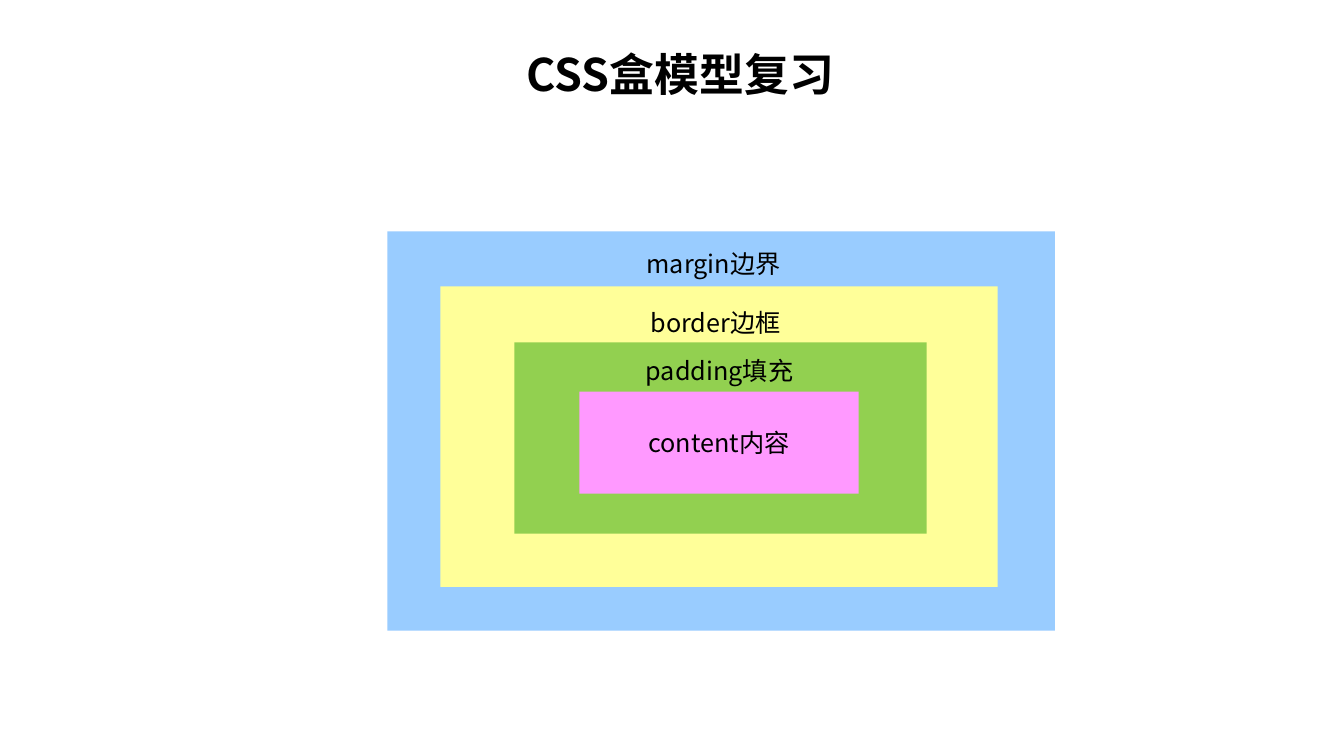
from dataclasses import dataclass

from lxml.etree import SubElement
from pptx import Presentation
from pptx.dml.color import RGBColor
from pptx.enum.shapes import MSO_SHAPE as Shape
from pptx.enum.text import MSO_ANCHOR as Anchor, MSO_AUTO_SIZE as Fit, PP_ALIGN as Align
from pptx.oxml.ns import qn
from pptx.slide import Slide
from pptx.text.text import TextFrame
from pptx.util import Pt

SCALE = 9080
FONT = "Noto Sans CJK SC"
BLACK = RGBColor(0x00, 0x00, 0x00)
BLUE = RGBColor(0x99, 0xCC, 0xFF)
YELLOW = RGBColor(0xFF, 0xFF, 0x99)
GREEN = RGBColor(0x92, 0xD0, 0x50)
PINK = RGBColor(0xFF, 0x99, 0xFF)


@dataclass(frozen=True)
class Area:
    left: int
    top: int
    width: int
    height: int

    def emu(self) -> tuple[int, ...]:
        return tuple(n * SCALE for n in (self.left, self.top, self.width, self.height))


@dataclass(frozen=True)
class Box:
    area: Area
    fill: RGBColor
    words: tuple[str, ...] = ()


@dataclass(frozen=True)
class Label:
    left: int
    top: int
    words: tuple[str, ...]


TITLE = Area(101, 1, 1158, 146)
BOXES = (
    Box(Area(387, 231, 667, 399), BLUE),
    Box(Area(440, 286, 557, 300), YELLOW),
    Box(Area(514, 342, 412, 191), GREEN),
    Box(Area(579, 391, 279, 102), PINK, ("content", "内容")),
)
LABELS = (
    Label(561, 350, ("padding", "填充")),
    Label(557, 302, ("border", "边框")),
    Label(555, 243, ("margin", "边界")),
)


def write(frame: TextFrame, words: tuple[str, ...], size: int = 18,
          bold: bool = False, anchor: Anchor = Anchor.MIDDLE) -> None:
    frame.word_wrap = True
    frame.vertical_anchor = anchor
    para = frame.paragraphs[0]
    para.alignment = Align.CENTER
    for word in words:
        run = para.add_run()
        run.text = word
        font = run.font
        font.size, font.bold, font.name = Pt(size), bold, FONT
        font.color.rgb = BLACK
        SubElement(run._r.get_or_add_rPr(), qn("a:ea"), typeface=FONT)


def draw_box(slide: Slide, box: Box) -> None:
    shape = slide.shapes.add_shape(Shape.RECTANGLE, *box.area.emu())
    shape.shadow.inherit = False
    shape.fill.solid()
    shape.fill.fore_color.rgb = box.fill
    shape.line.fill.background()
    if box.words:
        frame = shape.text_frame
        frame.margin_left = frame.margin_right = 7 * SCALE
        frame.margin_top = frame.margin_bottom = 4 * SCALE
        write(frame, box.words)


def draw_label(slide: Slide, label: Label) -> None:
    area = Area(label.left, label.top, 316, 40)
    frame = slide.shapes.add_textbox(*area.emu()).text_frame
    write(frame, label.words, anchor=Anchor.TOP)
    frame.auto_size = Fit.SHAPE_TO_FIT_TEXT


def main() -> None:
    """Build the CSS box model slide."""
    deck = Presentation()
    deck.slide_width, deck.slide_height = 1343 * SCALE, 755 * SCALE
    slide = deck.slides.add_slide(deck.slide_layouts[5])
    title = slide.shapes.title
    title.left, title.top, title.width, title.height = TITLE.emu()
    title.text_frame.auto_size = Fit.NONE
    write(title.text_frame, ("CSS", "盒模型复习"), size=32, bold=True)
    for box in BOXES:
        draw_box(slide, box)
    for label in LABELS:
        draw_label(slide, label)
    deck.save("out.pptx")


if __name__ == "__main__":
    main()
